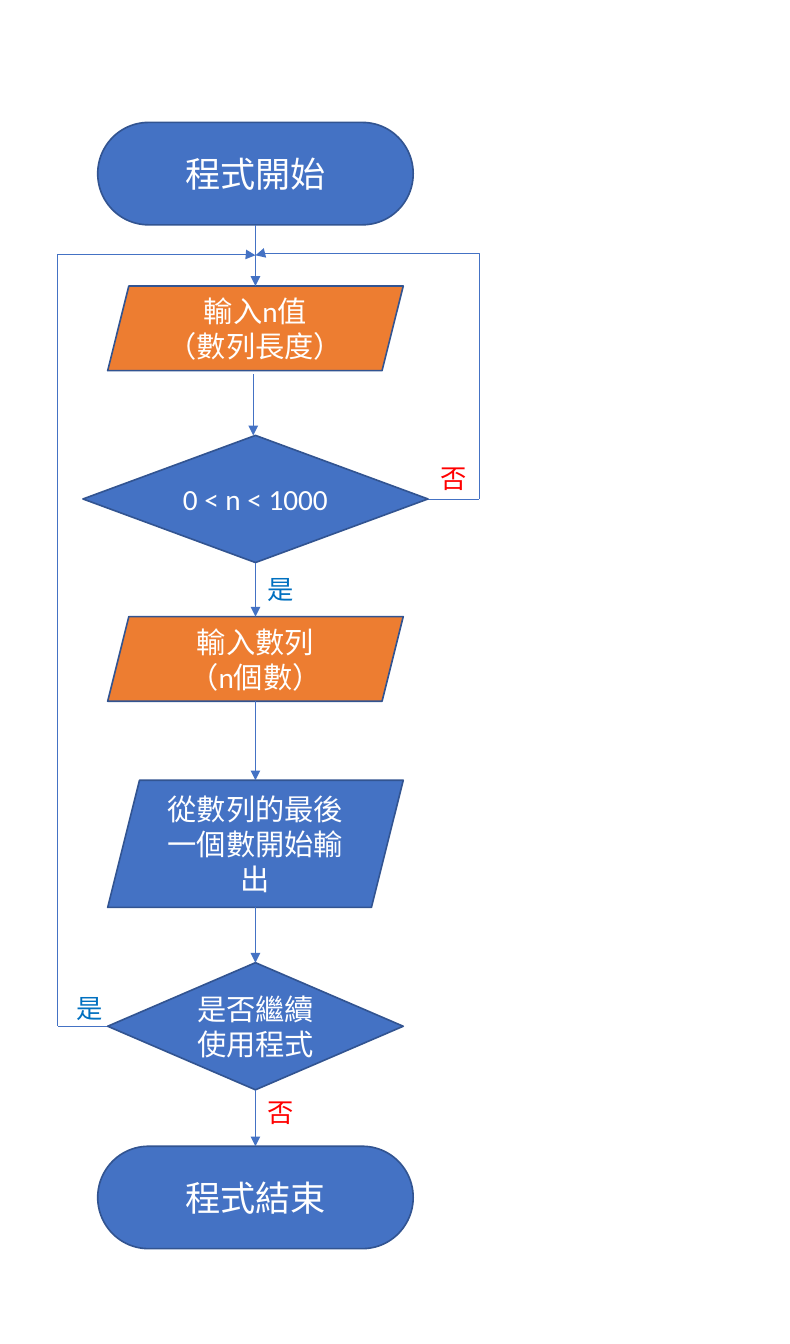
from lxml import etree
from pptx import Presentation
from pptx.dml.color import RGBColor
from pptx.enum.shapes import MSO_CONNECTOR, MSO_SHAPE
from pptx.enum.text import MSO_ANCHOR, MSO_AUTO_SIZE, PP_ALIGN
from pptx.oxml.ns import qn
from pptx.util import Inches, Pt

TERMINATOR = MSO_SHAPE.FLOWCHART_TERMINATOR
DATA = MSO_SHAPE.PARALLELOGRAM
DECISION = MSO_SHAPE.FLOWCHART_DECISION
STRAIGHT, ELBOW = MSO_CONNECTOR.STRAIGHT, MSO_CONNECTOR.ELBOW
CENTER, LEFT = PP_ALIGN.CENTER, PP_ALIGN.LEFT
MIDDLE = MSO_ANCHOR.MIDDLE
FIT_SHAPE = MSO_AUTO_SIZE.SHAPE_TO_FIT_TEXT

BLUE, ORANGE, OUTLINE, WHITE = "4472C4", "ED7D31", "325491", "FFFFFF"
YES_COLOR, NO_COLOR = "0070C0", "FF0000"
color = RGBColor.from_string

presentation = Presentation()
presentation.slide_width, presentation.slide_height = Inches(6.71), Inches(11.42)
slide = presentation.slides.add_slide(presentation.slide_layouts[6])

# The grid has 100 columns and 100 rows.
COLUMN = presentation.slide_width / 100
ROW = presentation.slide_height / 100
AXIS = 32.34
JOIN_ROW = 19


def add_text(shape, lines, size, text_color, alignment):
    """Write one paragraph with one run for each line."""
    frame = shape.text_frame
    for index, line in enumerate(lines):
        paragraph = frame.add_paragraph() if index else frame.paragraphs[0]
        paragraph.alignment = alignment
        run = paragraph.add_run()
        run.text = line
        run.font.name = "Calibri"
        run.font.size = Pt(size)
        run.font.color.rgb = color(text_color)


def add_line(kind, left, top, right, bottom, arrow=True):
    """Draw a thin connector between two points in EMU."""
    connector = slide.shapes.add_connector(
        kind, round(left), round(top), round(right), round(bottom))
    connector.line.color.rgb = color(BLUE)
    connector.line.width = Pt(0.5)
    if arrow:
        line = connector.line._get_or_add_ln()
        etree.SubElement(line, qn("a:tailEnd"), type="triangle")
    properties = connector._element.spPr
    etree.SubElement(properties, qn("a:effectLst"))
    return properties


# Return loops: tip column, outer column, start row, rotation, bend share
loops = [
    (13.64, 7.3, 76.36, 90, 1.001),
    (54.18, 60.66, 37.13, 270, 1.008),
]
for tip, outer, start_row, rotation, bend in loops:
    add_line(STRAIGHT, tip * COLUMN, start_row * ROW,
             outer * COLUMN, start_row * ROW, arrow=False)
    # The elbow is laid out sideways around its centre, then rotated.
    middle_x = (outer + AXIS) / 2 * COLUMN
    middle_y = (start_row + JOIN_ROW) / 2 * ROW
    half_length = (start_row - JOIN_ROW) / 2 * ROW
    if rotation == 270:
        half_length = -half_length
    half_depth = abs(outer - AXIS) / 2 * COLUMN
    properties = add_line(
        ELBOW, middle_x + half_length, middle_y + half_depth,
        middle_x - half_length, middle_y - half_depth)
    properties.find(qn("a:xfrm")).set("rot", str(rotation * 60000))
    adjustments = properties.find(qn("a:prstGeom")).find(qn("a:avLst"))
    etree.SubElement(adjustments, qn("a:gd"), name="adj1",
                     fmla=f"val {round(bend * 100000)}")

# Steps: shape, top row, columns wide, rows high, fill, text size, lines
steps = [
    (TERMINATOR, 9.11, 39.94, 7.62, BLUE, 21.5, ["程式開始"]),
    (DATA, 21.28, 37.41, 6.3, ORANGE, 17.9, ["輸入n值", "（數列長度）"]),
    (DECISION, 32.4, 43.67, 9.46, BLUE, 17.9, ["0 < n < 1000"]),
    (DATA, 45.88, 37.41, 6.3, ORANGE, 17.9, ["輸入數列", "（n個數）"]),
    (DATA, 58.06, 37.41, 9.46, BLUE, 17.9, ["從數列的最後一個數開始輸出"]),
    (DECISION, 71.63, 37.41, 9.46, BLUE, 17.9, ["是否繼續", "使用程式"]),
    (TERMINATOR, 85.29, 39.94, 7.62, BLUE, 21.5, ["程式結束"]),
]
for kind, top, width, height, fill, size, lines in steps:
    shape = slide.shapes.add_shape(
        kind, round((AXIS - width / 2) * COLUMN), round(top * ROW),
        round(width * COLUMN), round(height * ROW))
    shape.shadow.inherit = False
    shape.fill.solid()
    shape.fill.fore_color.rgb = color(fill)
    shape.line.color.rgb = color(OUTLINE)
    shape.line.width = Pt(1)
    shape.text_frame.word_wrap = True
    shape.text_frame.vertical_anchor = MIDDLE
    add_text(shape, lines, size, WHITE, CENTER)

# Arrows between neighbours; the one into the first decision is nudged.
for index, (step, following) in enumerate(zip(steps, steps[1:])):
    shift = 0.28 if index == 1 else 0
    column = (AXIS - shift) * COLUMN
    add_line(STRAIGHT, column, (step[1] + step[3] + shift) * ROW,
             column, following[1] * ROW)

# Branch labels: text, colour, left column, top row
labels = [
    ("否", NO_COLOR, 54.25, 33.98),
    ("是", YES_COLOR, AXIS, 42.21),
    ("是", YES_COLOR, 8.2, 73.38),
    ("否", NO_COLOR, AXIS, 81.17),
]
for text, text_color, left, top in labels:
    label = slide.shapes.add_textbox(
        round(left * COLUMN), round(top * ROW),
        round(6.41 * COLUMN), round(3.24 * ROW))
    label.text_frame.word_wrap = False
    label.text_frame.auto_size = FIT_SHAPE
    add_text(label, [text], 16.1, text_color, LEFT)

presentation.save("out.pptx")
